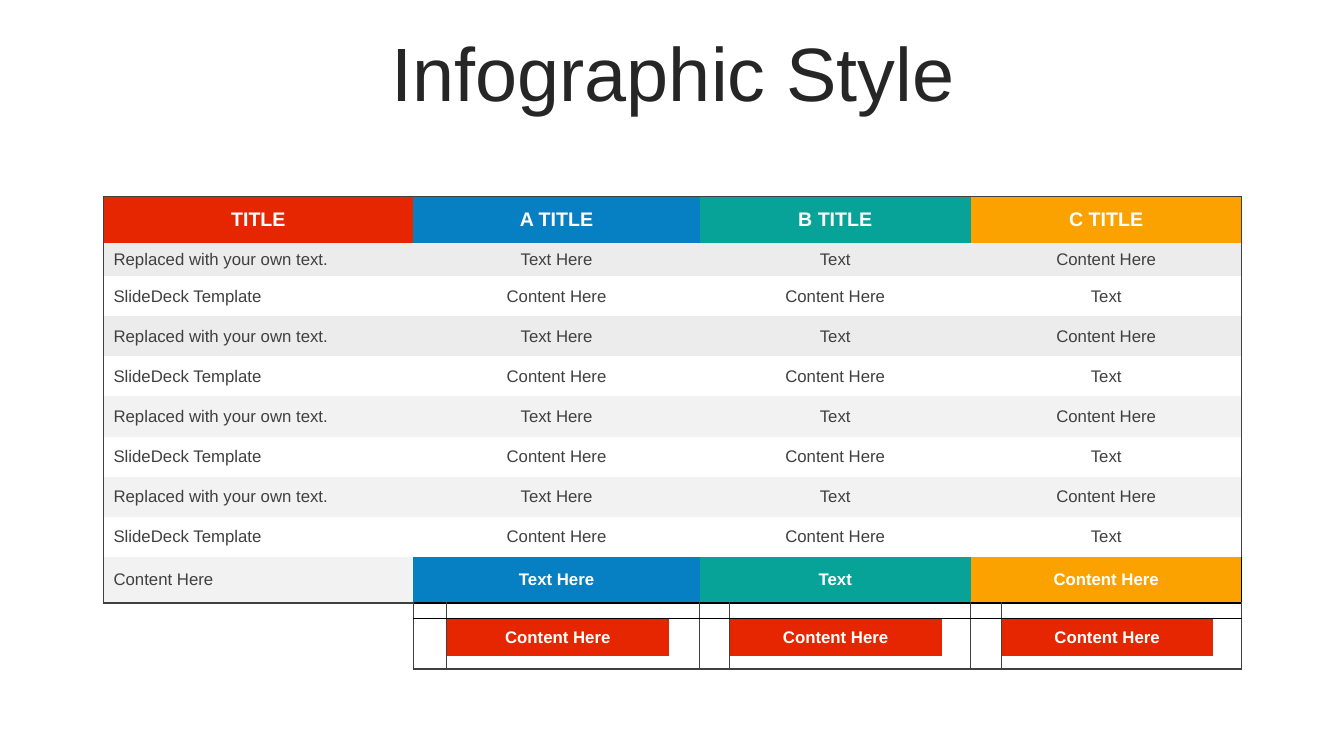
from dataclasses import dataclass

from lxml.etree import SubElement
from pptx import Presentation
from pptx.dml.color import RGBColor
from pptx.enum.text import MSO_ANCHOR as Anchor, MSO_AUTO_SIZE as AutoSize, PP_ALIGN as Align
from pptx.oxml.ns import qn
from pptx.table import Table, _Cell as Cell
from pptx.util import Pt


@dataclass(frozen=True)
class Theme:
    font: str = "Arial"
    title_ink: str = "262626"
    ink: str = "404040"
    black: str = "000000"
    white: str = "FFFFFF"
    red: str = "E62601"
    blue: str = "0680C3"
    teal: str = "07A398"
    orange: str = "FBA200"
    band: str = "ECECEC"
    pale_band: str = "F2F2F2"
    title_size: float = 54
    header_size: float = 14
    body_size: float = 12
    spacer_size: float = 1


@dataclass(frozen=True)
class Option:
    header: str
    color: str
    odd: str
    even: str
    first_column: int


THEME = Theme()
OPTIONS = [
    Option("A TITLE", THEME.blue, "Text Here", "Content Here", 1),
    Option("B TITLE", THEME.teal, "Text", "Content Here", 4),
    Option("C TITLE", THEME.orange, "Content Here", "Text", 7),
]
COLUMN_WIDTHS = [221.4, 23.9, 158.6, 22.1, 21.4, 151.4, 20.8, 22.1, 150.7, 20.8]
ROW_HEIGHTS = [33, 23.8] + [28.65] * 7 + [33.1, 11.3, 26.5, 9.3]
TOTAL_ROW = 9
BUTTON_ROW = 11
LAST_ROW = len(ROW_HEIGHTS) - 1
LAST_COLUMN = len(COLUMN_WIDTHS) - 1
PLAIN_TABLE_STYLE = "{2D5ABB26-0587-4C30-8999-92F81FD0307C}"


def rgb(color: str) -> RGBColor:
    return RGBColor.from_string(color)


def cell_borders(row: int, column: int) -> dict[str, str]:
    borders: dict[str, str] = {}
    if row > TOTAL_ROW:
        if column == 0:
            return borders
        if column % 3 == 1:
            borders["L"] = THEME.ink
        if column % 3 == 0:
            borders["R"] = THEME.ink
        if row == TOTAL_ROW + 1:
            borders["T"] = THEME.black
        if row == LAST_ROW:
            borders["B"] = THEME.ink
        return borders
    if column == 0:
        borders["L"] = THEME.ink
    if column in (OPTIONS[-1].first_column, LAST_COLUMN):
        borders["R"] = THEME.black if row == TOTAL_ROW else THEME.ink
    if row == 0:
        borders["T"] = THEME.ink
    if row == TOTAL_ROW:
        borders["B"] = THEME.ink if column == 0 else THEME.black
    return borders


def draw_borders(cell: Cell, borders: dict[str, str]) -> None:
    properties = cell._tc.get_or_add_tcPr()
    for side, color in borders.items():
        line = SubElement(properties, qn(f"a:ln{side}"), w=str(Pt(1)))
        ink = SubElement(line, qn("a:solidFill"))
        SubElement(ink, qn("a:srgbClr"), val=color)


def fill_cell(cell: Cell, color: str | None) -> None:
    if color is None:
        cell.fill.background()
    else:
        cell.fill.solid()
        cell.fill.fore_color.rgb = rgb(color)


def write_cell(cell: Cell, text: str, color: str, size: float,
               bold: bool = False, align: Align = Align.CENTER) -> None:
    cell.text = text
    cell.vertical_anchor = Anchor.MIDDLE
    cell.margin_left = cell.margin_right = Pt(7.2)
    cell.margin_top = cell.margin_bottom = Pt(3.6)
    paragraph = cell.text_frame.paragraphs[0]
    paragraph.alignment = align
    font = paragraph.font
    font.name, font.size, font.bold = THEME.font, Pt(size), bold
    font.color.rgb = rgb(color)


def prepare_cell(cell: Cell, row: int, column: int) -> None:
    draw_borders(cell, cell_borders(row, column))
    cell.margin_left = cell.margin_right = cell.margin_top = cell.margin_bottom = 0
    paragraph = cell.text_frame.paragraphs[0]
    SubElement(paragraph._p, qn("a:endParaRPr"), sz=str(int(THEME.spacer_size * 100)))
    blank_corner = row > TOTAL_ROW and column == 0
    fill_cell(cell, THEME.white if row > TOTAL_ROW and not blank_corner else None)


def row_fill(row: int) -> str | None:
    if row % 2 == 0:
        return None
    return THEME.band if row < 5 else THEME.pale_band


def fill_label_column(table: Table) -> None:
    header = table.cell(0, 0)
    write_cell(header, "TITLE", THEME.white, THEME.header_size, bold=True)
    fill_cell(header, THEME.red)
    for row in range(1, TOTAL_ROW + 1):
        label = "Replaced with your own text." if row % 2 else "SlideDeck Template"
        if row == TOTAL_ROW:
            label = "Content Here"
        cell = table.cell(row, 0)
        write_cell(cell, label, THEME.ink, THEME.body_size, align=Align.LEFT)
        fill_cell(cell, row_fill(row))
    table.cell(TOTAL_ROW + 1, 0).merge(table.cell(LAST_ROW, 0))


def fill_option(table: Table, option: Option) -> None:
    first = option.first_column
    for row in range(TOTAL_ROW + 1):
        cell = table.cell(row, first)
        cell.merge(table.cell(row, first + 2))
        accented = row in (0, TOTAL_ROW)
        text = option.header if row == 0 else option.odd if row % 2 else option.even
        write_cell(cell, text, THEME.white if accented else THEME.ink,
                   THEME.header_size if row == 0 else THEME.body_size, bold=accented)
        fill_cell(cell, option.color if accented else row_fill(row))
    button = table.cell(BUTTON_ROW, first + 1)
    write_cell(button, "Content Here", THEME.white, THEME.body_size, bold=True)
    fill_cell(button, THEME.red)


def main() -> None:
    presentation = Presentation()
    presentation.slide_width, presentation.slide_height = Pt(960), Pt(540)
    slide = presentation.slides.add_slide(presentation.slide_layouts[5])

    title = slide.shapes.title
    title.left, title.top, title.width, title.height = Pt(25.2), Pt(26.6), Pt(911.5), Pt(56.9)
    title.text = "Infographic Style"
    title.text_frame.auto_size = AutoSize.NONE
    title.text_frame.vertical_anchor = Anchor.MIDDLE
    heading = title.text_frame.paragraphs[0]
    heading.alignment = Align.CENTER
    heading.line_spacing = 0.9
    heading.font.name, heading.font.size = THEME.font, Pt(THEME.title_size)
    heading.font.color.rgb = rgb(THEME.title_ink)

    comparison = slide.shapes.add_table(
        len(ROW_HEIGHTS), len(COLUMN_WIDTHS), Pt(73.9), Pt(140.5),
        Pt(sum(COLUMN_WIDTHS)), Pt(sum(ROW_HEIGHTS)))
    table = comparison.table
    table.first_row = table.horz_banding = False
    table._tbl.tblPr.find(qn("a:tableStyleId")).text = PLAIN_TABLE_STYLE
    for column, width in zip(table.columns, COLUMN_WIDTHS):
        column.width = Pt(width)
    for row, height in zip(table.rows, ROW_HEIGHTS):
        row.height = Pt(height)
    for row in range(len(ROW_HEIGHTS)):
        for column in range(len(COLUMN_WIDTHS)):
            prepare_cell(table.cell(row, column), row, column)
    fill_label_column(table)
    for option in OPTIONS:
        fill_option(table, option)

    presentation.save("out.pptx")


if __name__ == "__main__":
    main()
